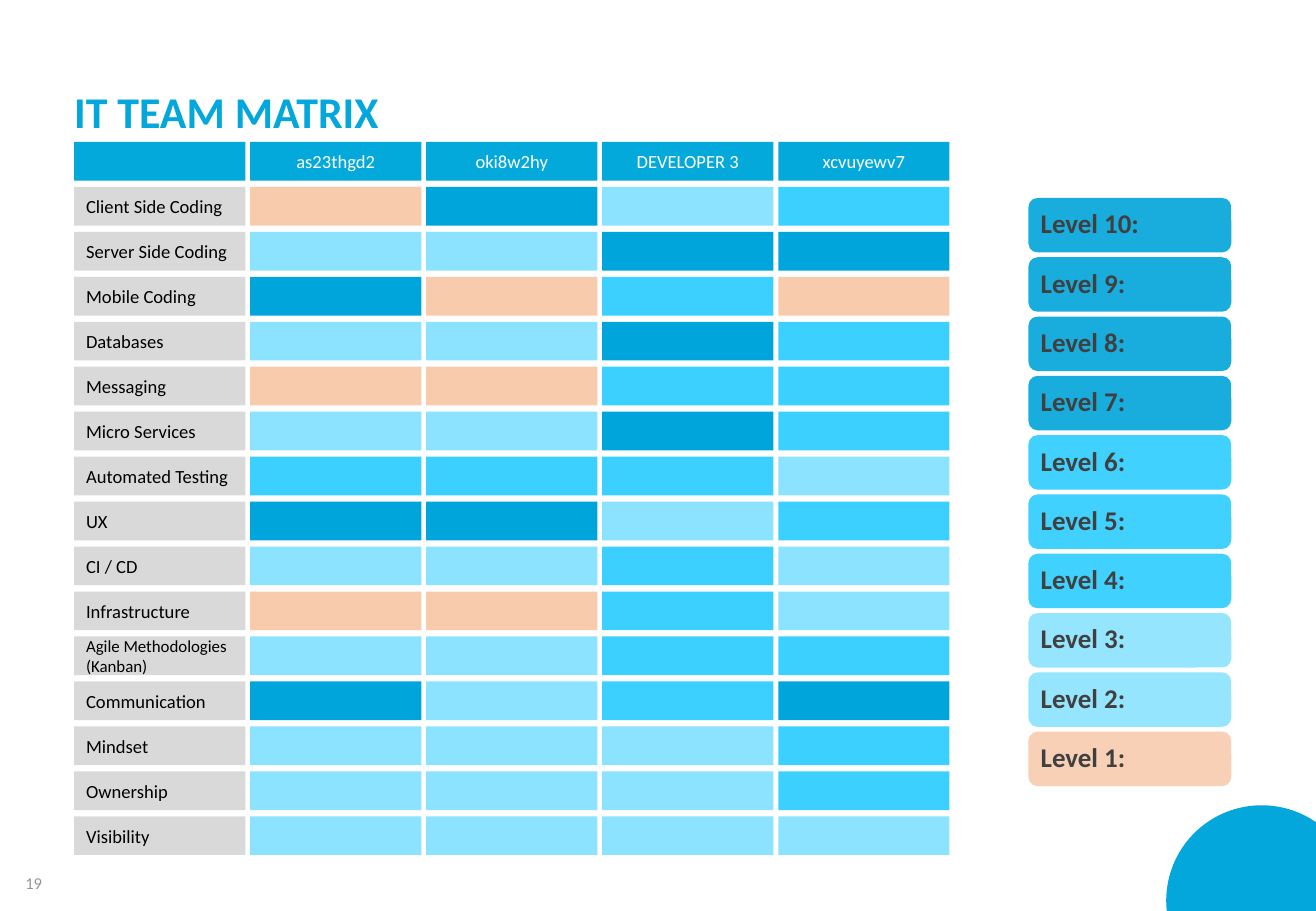
import lxml.etree
import pptx
import pptx.dml.color
import pptx.enum.shapes
import pptx.enum.text
import pptx.oxml.ns
import pptx.util

Cm = pptx.util.Cm
RGBColor = pptx.dml.color.RGBColor
Shape = pptx.enum.shapes.MSO_SHAPE
Align = pptx.enum.text.PP_ALIGN
Anchor = pptx.enum.text.MSO_ANCHOR

FONT = "Calibri"
WHITE = RGBColor(0xFF, 0xFF, 0xFF)
BLACK = RGBColor(0x00, 0x00, 0x00)
ACCENT = RGBColor(0x04, 0xA7, 0xDB)
HEADER = RGBColor(0x04, 0xA9, 0xDB)
SKILL = RGBColor(0xD9, 0xD9, 0xD9)
LEVEL_TEXT = RGBColor(0x40, 0x40, 0x40)
PAGE_NUMBER = RGBColor(0x98, 0x94, 0x94)
EXPERT = RGBColor(0x00, 0xA5, 0xDB)
SKILLED = RGBColor(0x3B, 0xD0, 0xFF)
SKILLED_KEY = RGBColor(0x2D, 0xCD, 0xFF)
LEARNING = RGBColor(0x8B, 0xE3, 0xFF)
NOVICE = RGBColor(0xF8, 0xCB, 0xAD)

RATINGS = {"E": EXPERT, "S": SKILLED, "L": LEARNING, "N": NOVICE}
MEMBERS = ["as23thgd2", "oki8w2hy", "DEVELOPER 3", "xcvuyewv7"]
SKILLS = [
    ("Client Side Coding", "NELS"),
    ("Server Side Coding", "LLEE"),
    ("Mobile Coding", "ENSN"),
    ("Databases", "LLES"),
    ("Messaging", "NNSS"),
    ("Micro Services", "LLES"),
    ("Automated Testing", "SSSL"),
    ("UX", "EELS"),
    ("CI / CD", "LLSL"),
    ("Infrastructure", "NNSL"),
    ("Agile Methodologies (Kanban)", "LLSS"),
    ("Communication", "ELSE"),
    ("Mindset", "LLLS"),
    ("Ownership", "LLLS"),
    ("Visibility", "LLLL"),
]
LEVELS = [EXPERT] * 4 + [SKILLED_KEY] * 3 + [LEARNING] * 2 + [NOVICE]


def write(frame, text, size, color, bold=False, align=Align.LEFT):
    """Put one styled paragraph into a text frame."""
    paragraph = frame.paragraphs[0]
    paragraph.text = text
    paragraph.alignment = align
    paragraph.font.name = FONT
    paragraph.font.size = pptx.util.Pt(size)
    paragraph.font.bold = bold
    paragraph.font.color.rgb = color
    return paragraph


def add_block(slide, kind, left, top, width, height, color):
    """Add a plain filled shape, with lengths in centimetres."""
    block = slide.shapes.add_shape(kind, Cm(left), Cm(top), Cm(width), Cm(height))
    block.shadow.inherit = False
    block.fill.solid()
    block.fill.fore_color.rgb = color
    block.line.fill.background()
    block.text_frame.vertical_anchor = Anchor.MIDDLE
    return block


def add_cell(slide, row, column, color):
    """Add the matrix cell at a row and column."""
    return add_block(slide, Shape.RECTANGLE, 1.55 + 3.68 * column,
                     2.97 + 0.94 * row, 3.58, 0.81, color)


def add_matrix(slide):
    """Add the header row, the skill names and the ratings."""
    add_cell(slide, 0, 0, HEADER)
    for column, member in enumerate(MEMBERS, start=1):
        header = add_cell(slide, 0, column, HEADER)
        write(header.text_frame, member, 11, WHITE, align=Align.CENTER)
    for row, (skill, ratings) in enumerate(SKILLS, start=1):
        name = add_cell(slide, row, 0, SKILL)
        write(name.text_frame, skill, 10 if len(skill) > 20 else 11, BLACK)
        for column, rating in enumerate(ratings, start=1):
            add_cell(slide, row, column, RATINGS[rating])


def add_level(slide, index, color):
    """Add one slightly transparent entry of the level key."""
    level = add_block(slide, Shape.ROUNDED_RECTANGLE, 21.5, 4.14 + 1.24 * index,
                      4.24, 1.14, color)
    qn = pptx.oxml.ns.qn
    fill_color = level.fill.fore_color and level._element.spPr.find(
        qn("a:solidFill") + "/" + qn("a:srgbClr"))
    lxml.etree.SubElement(fill_color, qn("a:alpha"), val="90000")
    level.text_frame.margin_left = Cm(0.2)
    label = f"Level {len(LEVELS) - index}:"
    write(level.text_frame, label, 16, LEVEL_TEXT, bold=True).line_spacing = 0.9


def add_title(slide, text):
    """Add the slide title."""
    frame = slide.shapes.add_textbox(Cm(1.55), Cm(1.9), Cm(24.4), Cm(1.47)).text_frame
    frame.word_wrap = True
    frame.margin_left = frame.margin_right = frame.margin_top = frame.margin_bottom = 0
    write(frame, text, 26, ACCENT, bold=True).line_spacing = 0.9


def add_page_number(slide, number):
    """Add the page number in the lower left corner."""
    frame = slide.shapes.add_textbox(Cm(0.28), Cm(18.14), Cm(0.86), Cm(0.69)).text_frame
    frame.word_wrap = False
    write(frame, number, 9.8, PAGE_NUMBER)


def main():
    """Build and save the team matrix slide."""
    deck = pptx.Presentation()
    deck.slide_width, deck.slide_height = Cm(27.51), Cm(19.05)
    slide = deck.slides.add_slide(deck.slide_layouts[6])
    add_page_number(slide, "19")
    add_block(slide, Shape.OVAL, 24.38, 16.84, 3.99, 3.99, ACCENT)
    add_title(slide, "IT TEAM MATRIX")
    add_matrix(slide)
    for index, color in enumerate(LEVELS):
        add_level(slide, index, color)
    deck.save("out.pptx")


if __name__ == "__main__":
    main()
